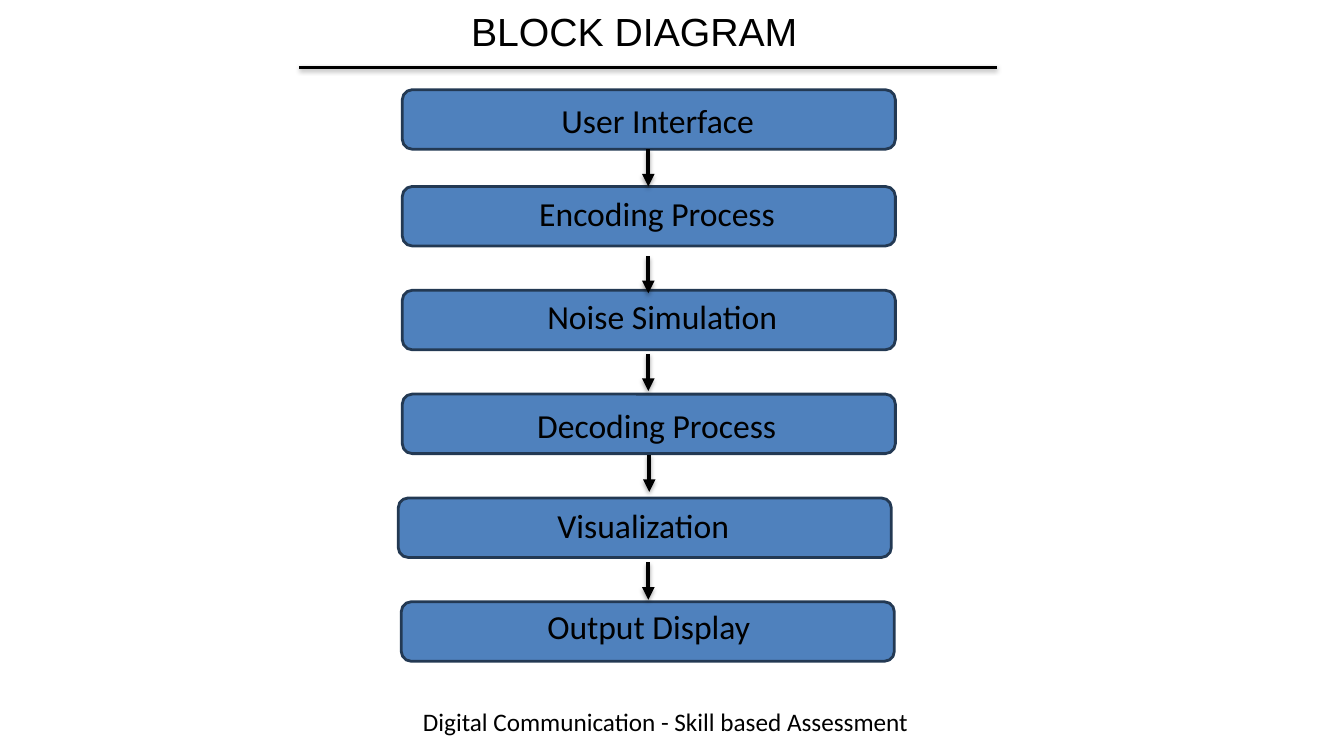
from lxml import etree
from pptx import Presentation, util as u
from pptx.dml.color import RGBColor
from pptx.enum import shapes, text
from pptx.oxml.ns import qn

SIZE = (13.33, 7.5)
CELL = 0.1  # side of a grid cell, inches
INK, BLUE, NAVY = "000000", "4F81BD", "233953"


def tint(code):
    return RGBColor.from_string(code)


def span(cells):
    return u.Inches(cells * CELL)


def assign(obj, values):
    for name, value in values.items():
        setattr(obj, name, value)


class Sheet:
    """Style and current slide; lengths are grid columns and rows."""

    def __init__(self, deck):
        self.slide = deck.slides.add_slide(deck.slide_layouts[5])
        self.shapes = self.slide.shapes

    def letter(self, frame, words, size, font, align, anchor):
        assign(frame, {"word_wrap": True, "vertical_anchor": anchor})
        para = frame.paragraphs[0]
        para.alignment = align
        run = para.add_run()
        run.text = words
        assign(run.font, {"size": u.Pt(size), "name": font, "bold": False})
        run.font.color.rgb = tint(INK)

    def title(self, words, *area):
        head = self.shapes.title
        assign(head, dict(zip(("left", "top", "width", "height"), map(span, area))))
        self.letter(head.text_frame, words, 28, "Arial",
                    text.PP_ALIGN.CENTER, text.MSO_ANCHOR.MIDDLE)

    def label(self, words, *area, size=24, align=text.PP_ALIGN.LEFT):
        box = self.shapes.add_textbox(*map(span, area))
        self.letter(box.text_frame, words, size, "Calibri", align, text.MSO_ANCHOR.TOP)

    def block(self, *area):
        box = self.shapes.add_shape(shapes.MSO_SHAPE.ROUNDED_RECTANGLE, *map(span, area))
        box.shadow.inherit = False
        box.fill.solid()
        box.fill.fore_color.rgb = tint(BLUE)
        box.line.color.rgb = tint(NAVY)
        box.line.width = u.Pt(2)

    def line(self, *ends, width, drop, alpha, arrow=False):
        link = self.shapes.add_connector(shapes.MSO_CONNECTOR.STRAIGHT, *map(span, ends))
        link.line.color.rgb = tint(INK)
        link.line.width = u.Pt(width)
        props = link._element.spPr
        if arrow:
            etree.SubElement(props.find(qn("a:ln")), qn("a:tailEnd"), type="triangle")
        # Soft shadow straight below the line
        effects = etree.SubElement(props, qn("a:effectLst"))
        shade = etree.SubElement(effects, qn("a:outerShdw"), blurRad=str(u.Pt(3.1)),
                                 dist=str(u.Pt(drop)), dir="5400000", rotWithShape="0")
        color = etree.SubElement(shade, qn("a:srgbClr"), val=INK)
        etree.SubElement(color, qn("a:alpha"), val=str(alpha * 1000))


# Stage name, block left and top, label left and top
STAGES = [
    ("User Interface", 39.9, 8.9, 54.7, 9.4),
    ("Encoding Process", 39.9, 18.5, 52.5, 18.6),
    ("Noise Simulation", 39.9, 28.8, 53.3, 28.9),
    ("Decoding Process", 39.9, 39.1, 52.3, 39.7),
    ("Visualization", 39.5, 49.4, 54.3, 49.6),
    ("Output Display", 39.8, 59.7, 53.3, 59.6),
]
# Column and first row of each arrow
ARROWS = [(64.3, 14.8), (64.3, 25.4), (64.3, 35.1), (64.4, 45.1), (64.3, 55.8)]


def main():
    deck = Presentation()
    deck.slide_width, deck.slide_height = map(u.Inches, SIZE)
    sheet = Sheet(deck)

    # Heading, rule and footer
    sheet.title("BLOCK DIAGRAM", 2.9, -3.2, 120, 12.5)
    sheet.line(29.7, 6.7, 98.9, 6.7, width=2, drop=1.6, alpha=38)
    sheet.label("Digital Communication - Skill based Assessment ", 39.1, 69.6, 54.4, 4,
                size=18, align=text.PP_ALIGN.CENTER)

    # Stages
    for name, left, top, col, row in STAGES:
        sheet.block(left, top, 48.9, 5.9)
        sheet.label(name, col, row, 32.7, 5)

    # Flow arrows
    for col, row in ARROWS:
        sheet.line(col, row, col, row + 3.7, width=3, drop=1.8, alpha=35, arrow=True)

    deck.save("out.pptx")


if __name__ == "__main__":
    main()
